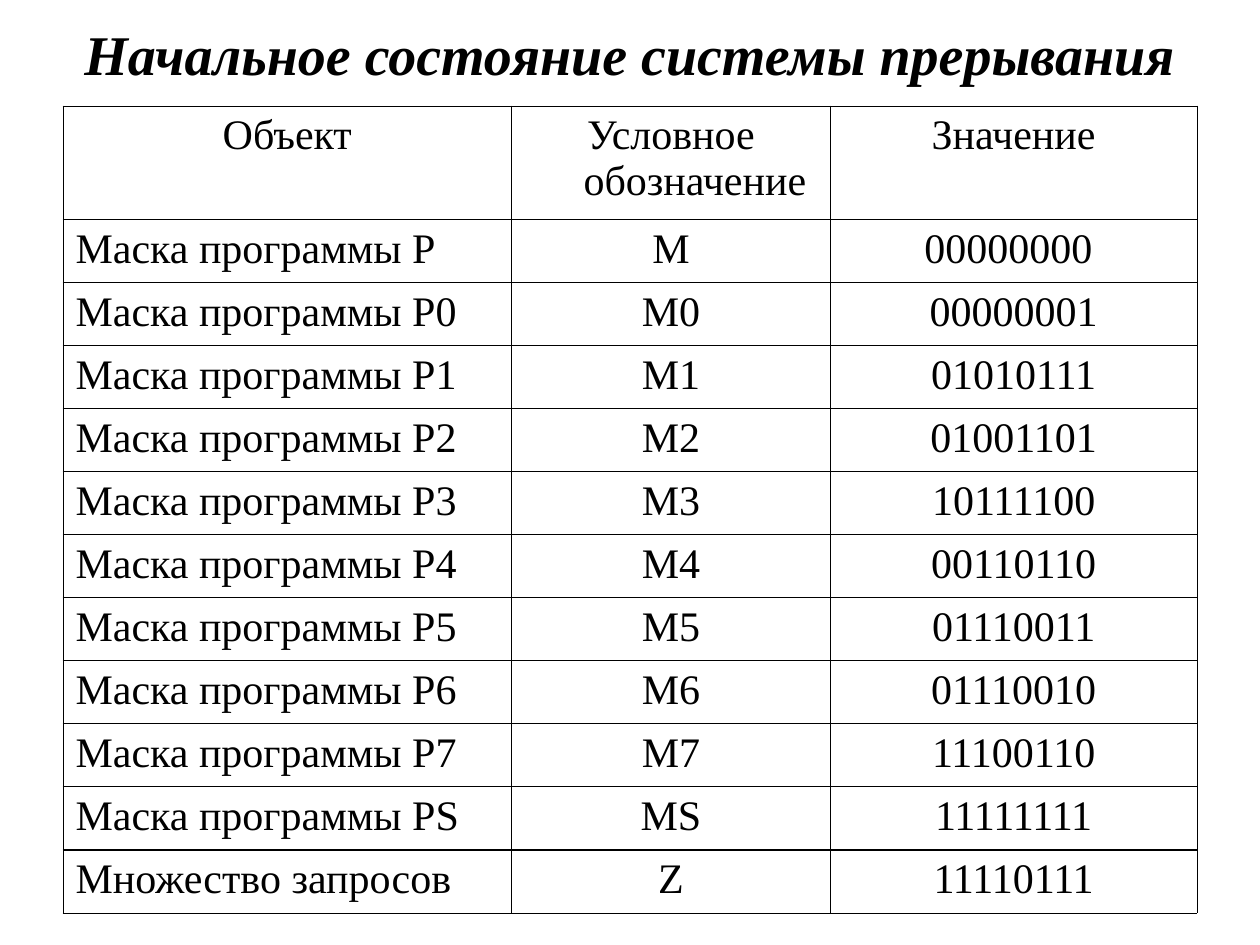
from dataclasses import dataclass

import lxml.etree
import pptx
import pptx.dml.color
import pptx.enum.text
import pptx.oxml.ns
import pptx.table
import pptx.text.text
import pptx.util

Inches = pptx.util.Inches
Pt = pptx.util.Pt
Align = pptx.enum.text.PP_ALIGN
Anchor = pptx.enum.text.MSO_ANCHOR

BLACK = pptx.dml.color.RGBColor(0x00, 0x00, 0x00)
WHITE = pptx.dml.color.RGBColor(0xFF, 0xFF, 0xFF)
FONT = "Times New Roman"
THIN, THICK = Pt(0.45), Pt(0.96)
COLUMN_WIDTHS = (3.56, 2.53, 2.91)
HEADER_HEIGHT, ROW_HEIGHT = 0.9, 0.5
HANGING = Inches(0.38)


@dataclass(frozen=True)
class StateRow:
    item: str
    symbol: str
    value: str


HEADER = StateRow("Объект", "Условное обозначение", "Значение")
PROGRAM_MASKS = (
    "00000001", "01010111", "01001101", "10111100",
    "00110110", "01110011", "01110010", "11100110",
)
ROWS = [
    HEADER,
    StateRow("Маска программы P", "М", "00000000 "),
    *(StateRow(f"Маска программы P{number}", f"М{number}", mask)
      for number, mask in enumerate(PROGRAM_MASKS)),
    StateRow("Маска программы PS", "MS", "11111111"),
    StateRow("Множество запросов", "Z", "11110111"),
]


def write_text(frame: pptx.text.text.TextFrame, text: str, *, size: float,
               align: Align = Align.CENTER, bold: bool = False,
               italic: bool = False, hanging: int = 0) -> None:
    para = frame.paragraphs[0]
    para.alignment = align
    if hanging:
        properties = para._p.get_or_add_pPr()
        properties.set("marL", str(hanging))
        properties.set("indent", str(-hanging))
    span = para.add_run()
    span.text = text
    span.font.name = FONT
    span.font.size = Pt(size)
    span.font.bold = bold
    span.font.italic = italic
    span.font.color.rgb = BLACK


def set_borders(cell: pptx.table._Cell, top: int, bottom: int) -> None:
    qualified = pptx.oxml.ns.qn
    properties = cell._tc.get_or_add_tcPr()
    widths = {"lnL": THIN, "lnR": THIN, "lnT": top, "lnB": bottom}
    for position, (edge, width) in enumerate(widths.items()):
        line = lxml.etree.Element(qualified(f"a:{edge}"), w=str(width))
        fill = lxml.etree.SubElement(line, qualified("a:solidFill"))
        lxml.etree.SubElement(fill, qualified("a:srgbClr"), val=str(BLACK))
        properties.insert(position, line)


def add_title(page, text: str) -> None:
    box = page.shapes.add_textbox(Inches(0.5), Inches(0.17), Inches(9), Inches(0.5))
    box.text_frame.word_wrap = True
    box.text_frame.vertical_anchor = Anchor.MIDDLE
    write_text(box.text_frame, text, size=32, bold=True, italic=True)


def add_state_table(page, rows: list[StateRow]) -> None:
    height = HEADER_HEIGHT + ROW_HEIGHT * (len(rows) - 1)
    table = page.shapes.add_table(
        len(rows), len(COLUMN_WIDTHS), Inches(0.5), Inches(0.84),
        Inches(sum(COLUMN_WIDTHS)), Inches(height)).table
    table.first_row = False
    table.horz_banding = False
    for column, width in zip(table.columns, COLUMN_WIDTHS):
        column.width = Inches(width)
    last = len(rows) - 1
    for index, row in enumerate(rows):
        table.rows[index].height = Inches(ROW_HEIGHT if index else HEADER_HEIGHT)
        for position, text in enumerate((row.item, row.symbol, row.value)):
            cell = table.cell(index, position)
            cell.fill.background()
            set_borders(cell, top=THICK if index == last else THIN,
                        bottom=THICK if index == last - 1 else THIN)
            align = Align.LEFT if index and position == 0 else Align.CENTER
            write_text(cell.text_frame, text, size=24, align=align, hanging=HANGING)


def main() -> None:
    deck = pptx.Presentation()
    deck.slide_width, deck.slide_height = Inches(10), Inches(7.5)
    page = deck.slides.add_slide(deck.slide_layouts[6])
    page.background.fill.solid()
    page.background.fill.fore_color.rgb = WHITE
    add_title(page, "Начальное состояние системы прерывания")
    add_state_table(page, ROWS)
    deck.save("out.pptx")


if __name__ == "__main__":
    main()
